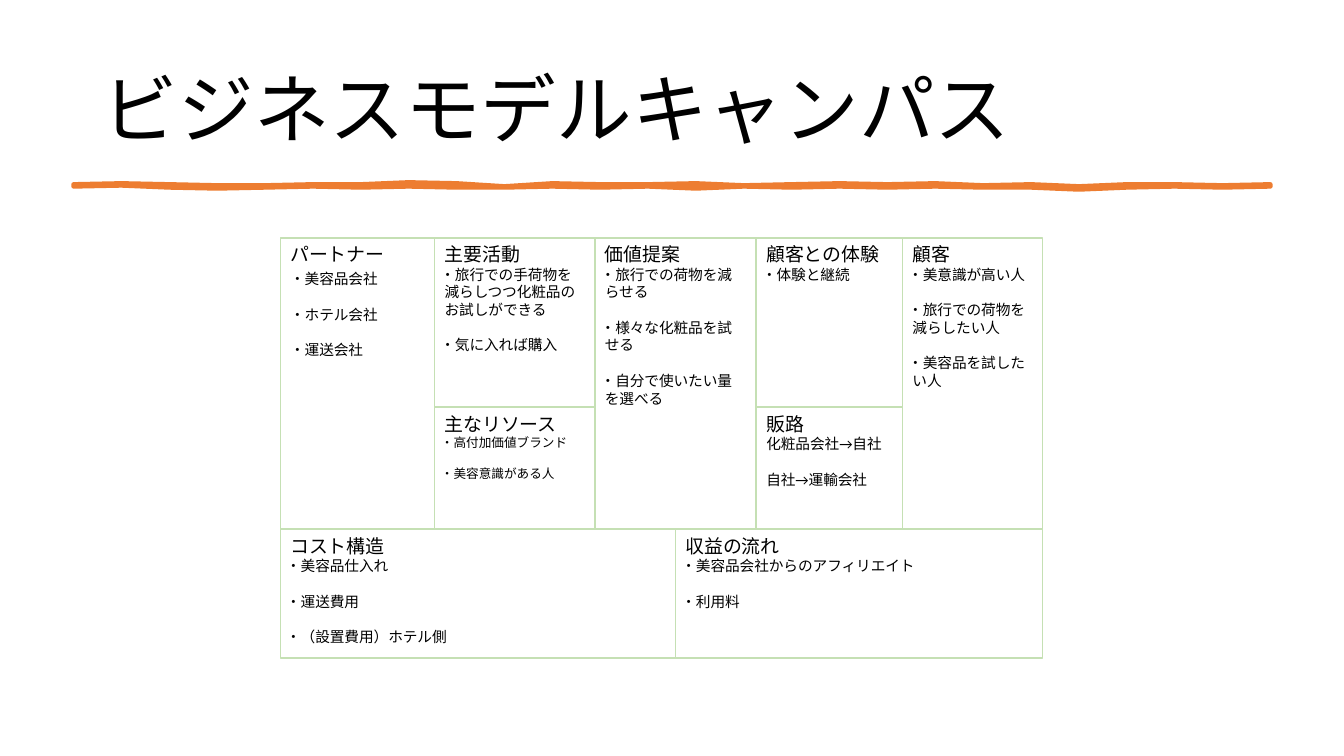
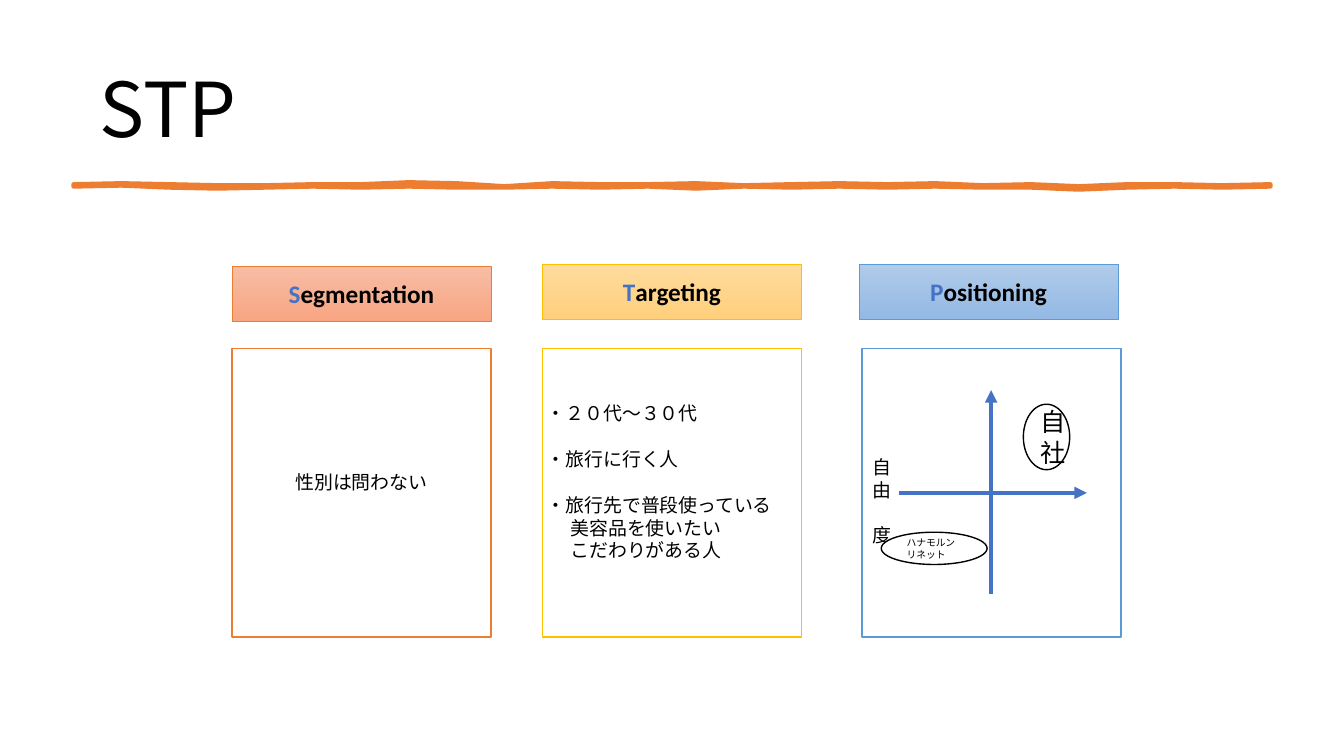
from dataclasses import dataclass
from lxml.etree import SubElement
from pptx import Presentation
from pptx.dml.color import RGBColor
from pptx.enum.shapes import MSO_CONNECTOR, MSO_SHAPE
from pptx.enum.text import MSO_ANCHOR, PP_ALIGN
from pptx.oxml.ns import qn
from pptx.util import Inches, Pt


@dataclass(frozen=True)
class Theme:
    latin: str = "Calibri"
    cjk: str = "Noto Sans CJK JP"
    ink: str = "000000"
    paper: str = "FFFFFF"
    brush: str = "ED7D31"
    grid: str = "C5E0B4"
    accent: str = "4472C4"
    title: float = 54
    header: float = 18
    body: float = 13.5
    item: float = 10.5
    small: float = 9
    tiny: float = 7
    line_height: float = 1.22


@dataclass(frozen=True)
class Para:
    text: str
    size: float = 13.5
    gap: float = 0
    indent: float = 0
    align: PP_ALIGN = PP_ALIGN.LEFT


T = Theme()
COLS = (2.78, 4.31, 5.9, 6.7, 7.5, 8.95, 10.34)
ROWS = (2.36, 4.04, 5.25, 6.53)
DOT = "・"
DOT_HANG, DOT_TIGHTEN = 0.29, 0.36
HANG_ROOM = 0.06
BRUSH_LEFT, BRUSH_WIDTH = 0.73, 11.87
BRUSH_TOP = (1.83, 1.82, 1.83, 1.84, 1.84, 1.83, 1.83, 1.81, 1.82, 1.85, 1.82,
             1.83, 1.83, 1.82, 1.84, 1.83, 1.82, 1.83, 1.82, 1.84, 1.83, 1.85,
             1.83, 1.83, 1.84, 1.83)
BRUSH_BOTTOM = (1.85, 1.84, 1.86, 1.87, 1.86, 1.85, 1.86, 1.85, 1.86, 1.86, 1.85,
                1.86, 1.85, 1.87, 1.85, 1.86, 1.85, 1.86, 1.85, 1.86, 1.86, 1.88,
                1.86, 1.85, 1.86, 1.85)


def rgb(code):
    return RGBColor.from_string(code)


def add_run(p, text, size, color=T.ink, bold=False, font=T.latin):
    r = p.add_run()
    r.text = text
    r.font.size = Pt(size)
    r.font.bold = bold
    r.font.name = font
    r.font.color.rgb = rgb(color)
    SubElement(r._r.get_or_add_rPr(), qn("a:ea")).set("typeface", font)
    return r


def write(tf, paras, room=0):
    tf.word_wrap = True
    for i, para in enumerate(paras):
        p = tf.add_paragraph() if i else tf.paragraphs[0]
        p.alignment = para.align
        p.space_before = Pt(round(para.gap * para.size * T.line_height, 1))
        pPr = p._p.get_or_add_pPr()
        pPr.set("marL", str(Inches(room + para.indent)))
        text = para.text
        if text.startswith(DOT):
            pPr.set("indent", str(-Pt(DOT_HANG * para.size)))
            r = add_run(p, DOT, para.size)
            r._r.get_or_add_rPr().set("spc", str(round(-100 * DOT_TIGHTEN * para.size)))
            text = text[1:]
        add_run(p, text, para.size)


def add_box(s, kind, box, line, width=1):
    sp = s.shapes.add_shape(kind, *map(Inches, box))
    sp.shadow.inherit = False
    sp.fill.solid()
    sp.fill.fore_color.rgb = rgb(T.paper)
    sp.line.color.rgb = rgb(line)
    sp.line.width = Pt(width)
    return sp


def edge(heights):
    pitch = BRUSH_WIDTH / (len(heights) - 1)
    return [(Inches(BRUSH_LEFT + i * pitch), Inches(y)) for i, y in enumerate(heights)]


def add_brush(s):
    outline = edge(BRUSH_TOP) + edge(BRUSH_BOTTOM)[::-1]
    fb = s.shapes.build_freeform(*outline[0])
    fb.add_line_segments(outline[1:], close=True)
    sp = fb.convert_to_shape()
    sp.shadow.inherit = False
    sp.fill.solid()
    sp.fill.fore_color.rgb = rgb(T.brush)
    sp.line.color.rgb = rgb(T.brush)
    sp.line.width = Pt(3.25)


def add_titled_slide(prs, title, font, inset):
    s = prs.slides.add_slide(prs.slide_layouts[5])
    add_brush(s)
    sp = s.shapes.title
    sp.left, sp.top, sp.width, sp.height = map(Inches, (0.92, 0.4, 11.5, 1.45))
    tf = sp.text_frame
    tf.word_wrap = True
    tf.vertical_anchor = MSO_ANCHOR.MIDDLE
    tf.margin_left = tf.margin_right = Inches(inset)
    p = tf.paragraphs[0]
    p.alignment = PP_ALIGN.LEFT
    p.line_spacing = 0.9
    add_run(p, title, T.title, font=font)
    return s


def add_block(s, cols, rows, heading, items, size=T.item, lead=0, indent=0):
    left, right = (COLS[i] for i in cols)
    top, bottom = (ROWS[i] for i in rows)
    sp = add_box(s, MSO_SHAPE.RECTANGLE, (left, top, right - left, bottom - top), T.grid)
    tf = sp.text_frame
    tf.vertical_anchor = MSO_ANCHOR.TOP
    tf.margin_left = Inches(0.1 - HANG_ROOM)
    write(tf, [Para(heading)] + [
        Para(item, size, 1 if i else lead, indent) for i, item in enumerate(items)],
        HANG_ROOM)


def add_header(s, left, top, word, line, shades):
    sp = add_box(s, MSO_SHAPE.RECTANGLE, (left, top, 2.57, 0.55), line, 0.5)
    sp.fill.gradient()
    sp.fill.gradient_angle = 270
    for stop, shade, place in zip(sp.fill.gradient_stops, shades, (0, 1)):
        stop.color.rgb = rgb(shade)
        stop.position = place
    p = sp.text_frame.paragraphs[0]
    p.alignment = PP_ALIGN.CENTER
    add_run(p, word[0], T.header, T.accent, True)
    add_run(p, word[1:], T.header, bold=True)


def add_panel(s, left, line, paras=(), room=0):
    sp = add_box(s, MSO_SHAPE.RECTANGLE, (left, 3.46, 2.57, 2.86), line)
    if paras:
        tf = sp.text_frame
        tf.margin_left = Inches(0.1 - room)
        tf.margin_bottom = Inches(0.27)
        write(tf, paras, room)


def add_axis(s, *ends):
    c = s.shapes.add_connector(MSO_CONNECTOR.STRAIGHT, *map(Inches, ends))
    c.line.color.rgb = rgb(T.accent)
    c.line.width = Pt(3)
    SubElement(c.line._get_or_add_ln(), qn("a:tailEnd")).set("type", "triangle")
    SubElement(c._element.spPr, qn("a:effectLst"))


def add_oval(s, box, para):
    sp = add_box(s, MSO_SHAPE.OVAL, box, T.ink)
    write(sp.text_frame, [para])


def build_canvas(prs):
    s = add_titled_slide(prs, "ビジネスモデルキャンパス", T.latin, 0.1)
    add_block(s, (0, 1), (0, 2), "パートナー",
              ["・美容品会社", "・ホテル会社", "・運送会社"], lead=0.25, indent=0.04)
    add_block(s, (1, 2), (0, 1), "主要活動",
              ["・旅行での手荷物を減らしつつ化粧品のお試しができる", "・気に入れば購入"])
    add_block(s, (1, 2), (1, 2), "主なリソース",
              ["・高付加価値ブランド", "・美容意識がある人"], T.small)
    add_block(s, (2, 4), (0, 2), "価値提案",
              ["・旅行での荷物を減らせる", "・様々な化粧品を試せる", "・自分で使いたい量を選べる"])
    add_block(s, (4, 5), (0, 1), "顧客との体験", ["・体験と継続"])
    add_block(s, (4, 5), (1, 2), "販路", ["化粧品会社→自社", "自社→運輸会社"])
    add_block(s, (5, 6), (0, 2), "顧客",
              ["・美意識が高い人", "・旅行での荷物を減らしたい人", "・美容品を試したい人"])
    add_block(s, (3, 6), (2, 3), "収益の流れ",
              ["・美容品会社からのアフィリエイト", "・利用料"])
    add_block(s, (0, 3), (2, 3), "コスト構造",
              ["・美容品仕入れ", "・運送費用", "・（設置費用）ホテル側"])


def build_stp(prs):
    s = add_titled_slide(prs, "STP", T.cjk, 0.07)
    add_panel(s, 2.3, "ED7D31", [Para("性別は問わない", align=PP_ALIGN.CENTER)])
    add_panel(s, 5.38, "FFC000", [
        Para("・２０代～３０代"),
        Para("・旅行に行く人", gap=1),
        Para("・旅行先で普段使っている", gap=1),
        Para("美容品を使いたい", indent=0.18),
        Para("こだわりがある人", indent=0.18)], HANG_ROOM)
    add_panel(s, 8.55, "5B9BD5")
    add_axis(s, 8.92, 4.89, 10.78, 4.89)
    add_axis(s, 9.83, 5.89, 9.83, 3.87)
    add_header(s, 2.3, 2.64, "Segmentation", "ED7D31", ("F7BDA5", "F8A582"))
    add_header(s, 5.38, 2.62, "Targeting", "FFC000", ("FFDB9E", "FFD07C"))
    add_header(s, 8.52, 2.62, "Positioning", "5B9BD5", ("B1CBE9", "93B9E4"))
    add_oval(s, (10.15, 4.01, 0.46, 0.65), Para("自社", T.header, align=PP_ALIGN.CENTER))
    tf = s.shapes.add_textbox(*map(Inches, (8.58, 4.48, 0.4, 1.21))).text_frame
    tf.margin_left = tf.margin_right = Inches(0.07)
    tf.margin_top = tf.margin_bottom = Inches(0.04)
    write(tf, [Para("自由"), Para("度", gap=1)])
    add_oval(s, (8.74, 5.28, 1.05, 0.32), Para("ハナモルンリネット", T.tiny))


def main():
    prs = Presentation()
    prs.slide_width, prs.slide_height = Inches(13.33), Inches(7.5)
    build_canvas(prs)
    build_stp(prs)
    prs.save("out.pptx")


if __name__ == "__main__":
    main()
